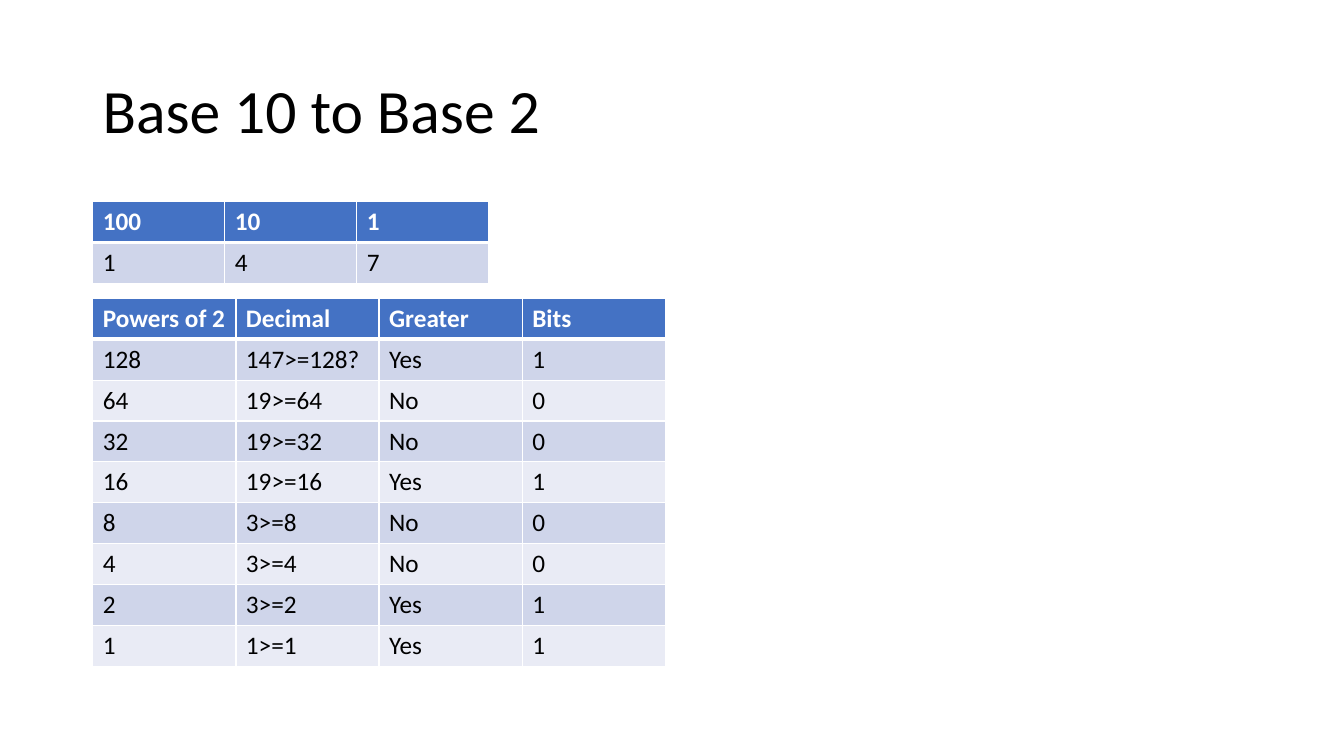
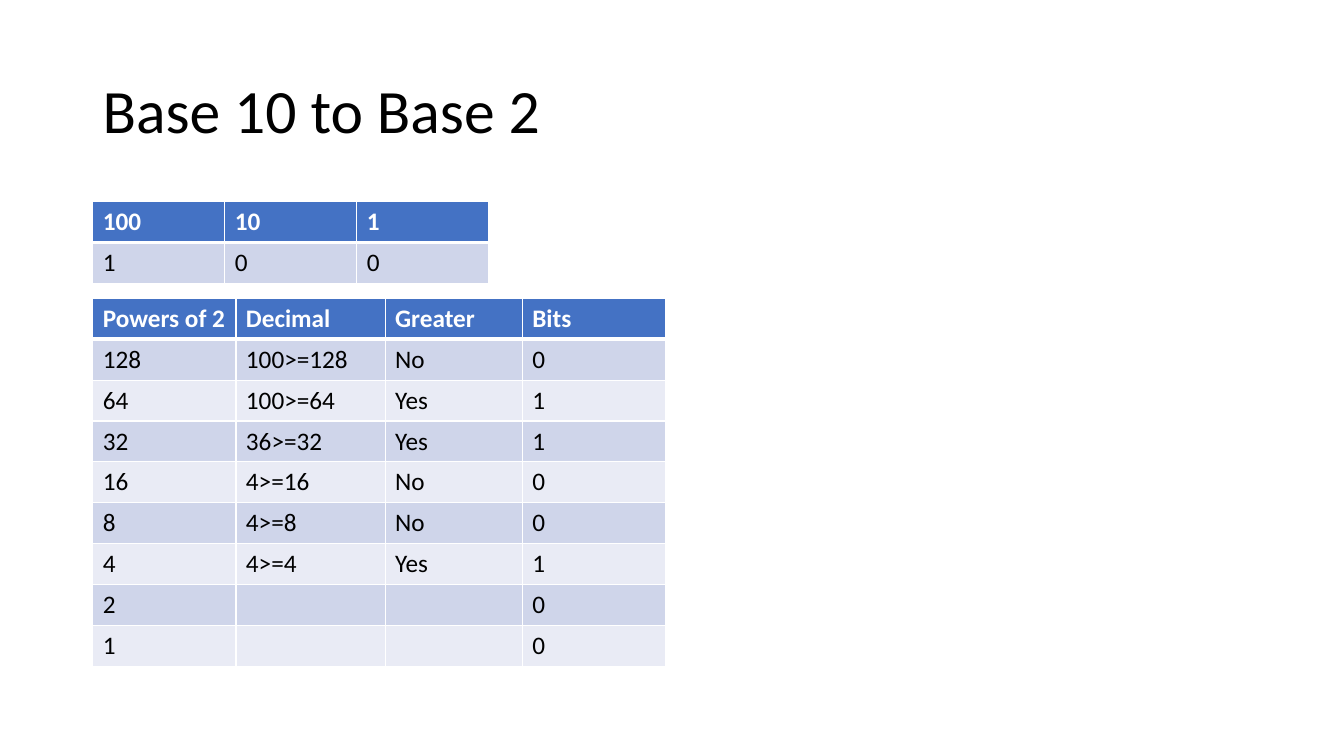
"""Build two slides that convert decimal numbers to binary."""
import pptx
import pptx.dml.color
import pptx.enum.text
import pptx.util
from lxml import etree
from pptx.oxml.ns import qn
from pptx.util import Inches

FONT = "Calibri"
WHITE, BLACK, HEADER = "FFFFFF", "000000", "4472C4"
BANDS = ("CFD5EA", "E9EBF5")
LEFT = 0.92
TITLE = "Base 10 to Base 2"
PLACES = ("100", "10", "1")
HEADINGS = ("Powers of 2", "Decimal ", "Greater", "Bits")
POWERS = [str(2 ** exponent) for exponent in range(7, -1, -1)]
EXAMPLES = (
    {
        "digits": "147",
        "widths": (1.42, 1.42, 1.42, 1.42),
        "tests": ("147>=128?", "19>=64", "19>=32", "19>=16",
                  "3>=8", "3>=4", "3>=2", "1>=1"),
        "answers": ("Yes", "No", "No", "Yes", "No", "No", "Yes", "Yes"),
        "bits": "10010011",
    },
    {
        "digits": "100",
        "widths": (1.42, 1.48, 1.36, 1.42),
        "tests": ("100>=128", "100>=64", "36>=32", "4>=16",
                  "4>=8", "4>=4", "", ""),
        "answers": ("No", "Yes", "Yes", "No", "No", "Yes", "", ""),
        "bits": "01100100",
    },
)


def colour(value):
    """Return the colour for a hex string."""
    return pptx.dml.color.RGBColor.from_string(value)


def add_span(para, text, size, ink, bold=False):
    """Add one styled run to a paragraph."""
    span = para.add_run()
    span.text = text
    span.font.name = FONT
    span.font.size = pptx.util.Pt(size)
    span.font.bold = bold
    span.font.color.rgb = colour(ink)


def add_title(page, text):
    """Add the slide title, centred vertically in its box."""
    box = page.shapes.add_textbox(
        Inches(LEFT), Inches(0.4), Inches(11.5), Inches(1.45))
    frame = box.text_frame
    frame.word_wrap = True
    frame.vertical_anchor = pptx.enum.text.MSO_ANCHOR.MIDDLE
    para = frame.paragraphs[0]
    para.line_spacing = 0.9
    add_span(para, text, 44, BLACK)


def add_borders(cell, top, bottom):
    """Give a cell white borders, with top and bottom widths in points."""
    properties = cell._tc.get_or_add_tcPr()
    for side, width in (("L", 1), ("R", 1), ("T", top), ("B", bottom)):
        line = etree.SubElement(
            properties, qn(f"a:ln{side}"), w=str(pptx.util.Pt(width)))
        fill = etree.SubElement(line, qn("a:solidFill"))
        etree.SubElement(fill, qn("a:srgbClr"), val=WHITE)


def style_cell(cell, text, row):
    """Write a cell in the header or banded style of its row."""
    is_header = row == 0
    add_borders(cell, 3 if row == 1 else 1, 3 if is_header else 1)
    cell.fill.solid()
    cell.fill.fore_color.rgb = colour(
        HEADER if is_header else BANDS[(row - 1) % 2])
    para = cell.text_frame.paragraphs[0]
    if text:
        add_span(para, text, 18, WHITE if is_header else BLACK, is_header)


def add_grid(page, top, height, widths, rows):
    """Add a table with a header row and banded body rows."""
    grid = page.shapes.add_table(
        len(rows), len(widths), Inches(LEFT), Inches(top),
        Inches(sum(widths)), Inches(height)).table
    for column, width in zip(grid.columns, widths):
        column.width = Inches(width)
    for row, texts in enumerate(rows):
        for column, text in enumerate(texts):
            style_cell(grid.cell(row, column), text, row)


def add_example(deck, example):
    """Add a slide that converts one decimal number."""
    page = deck.slides.add_slide(deck.slide_layouts[6])
    add_title(page, TITLE)
    add_grid(page, 2, 0.81, [1.31] * 3, [PLACES, example["digits"]])
    steps = zip(POWERS, example["tests"], example["answers"], example["bits"])
    add_grid(page, 2.96, 3.65, example["widths"], [HEADINGS, *steps])


def main():
    """Build and save the deck."""
    deck = pptx.Presentation()
    deck.slide_width = Inches(13.33)
    deck.slide_height = Inches(7.5)
    for example in EXAMPLES:
        add_example(deck, example)
    deck.save("out.pptx")


main()
